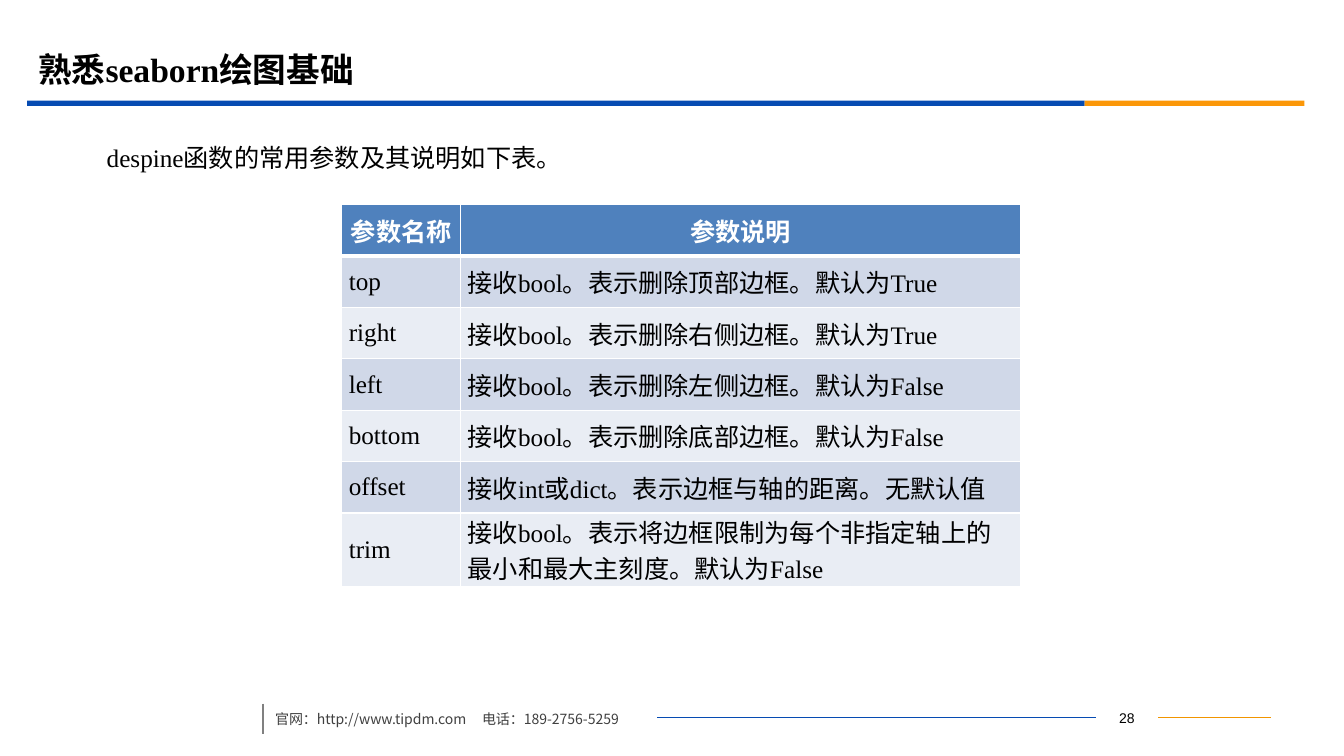
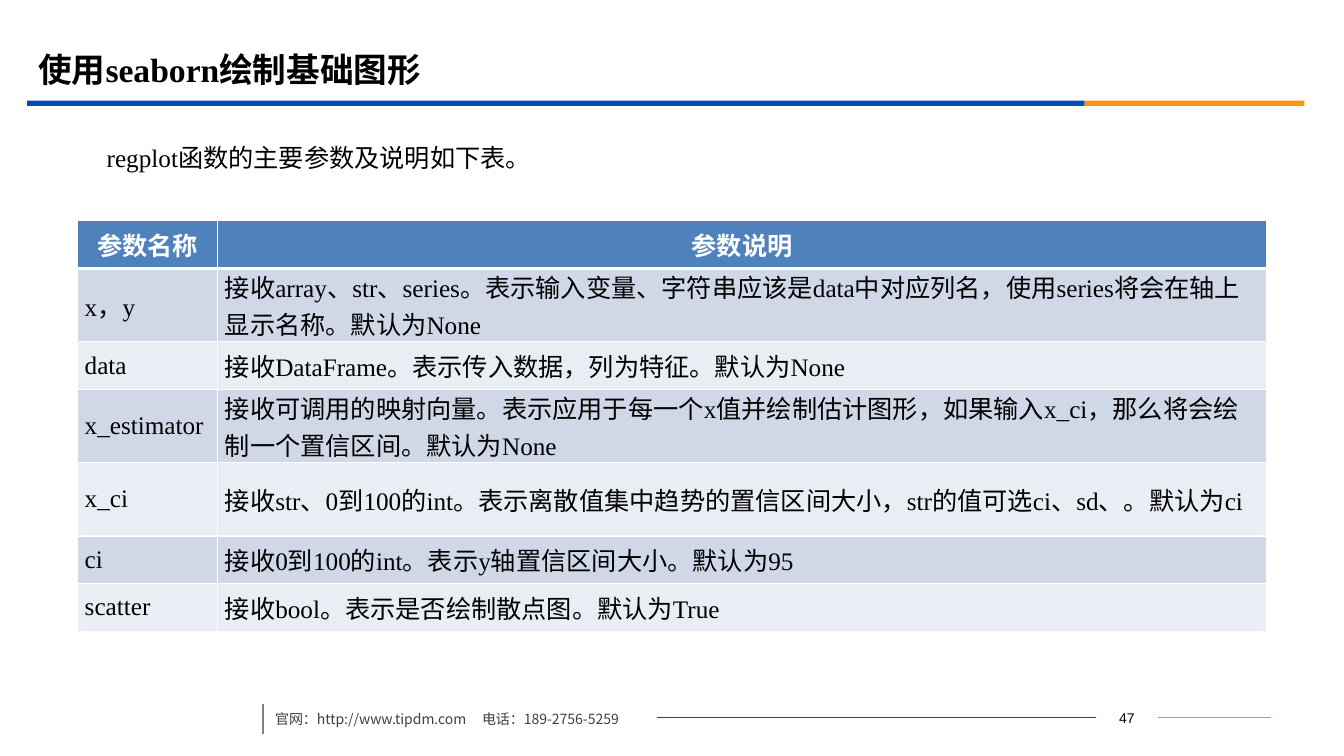
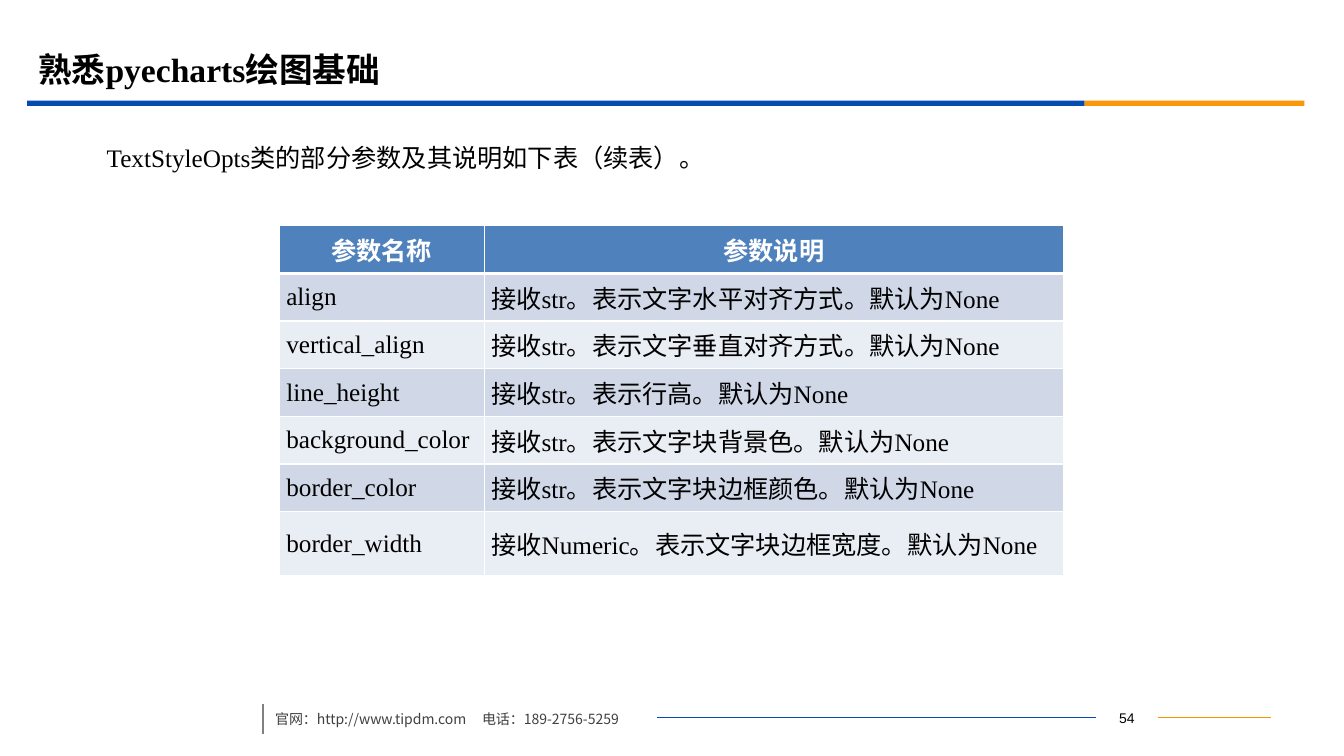
from pptx import Presentation
from pptx import util as u
from pptx.dml.color import RGBColor
from pptx.enum import shapes, text
from pptx.oxml import parse_xml
from pptx.oxml.ns import nsdecls, qn

deck = Presentation()
deck.slide_width, deck.slide_height = u.Inches(13.33), u.Inches(7.5)
col, row = deck.slide_width / 100, deck.slide_height / 100

hues = {
    "blue": "064BB2", "gold": "FB9708", "amber": "F19500", "grey": "808080",
    "dark": "404040", "black": "000000", "white": "FFFFFF",
    "head": "4F81BD", "odd": "D0D8E8", "even": "E9EDF4",
}
tint = {name: RGBColor.from_string(hue) for name, hue in hues.items()}
serif, sans = "Times New Roman", "Noto Sans CJK SC"


def area(left, top, wide, high):
    return [round(n) for n in (left * col, top * row, wide * col, high * row)]


def write(para, words, size, hue="black", face=serif, bold=False):
    run = para.add_run()
    run.text = words
    run.font.size, run.font.bold, run.font.name = u.Pt(size), bold, face
    run.font.color.rgb = tint[hue]
    east = parse_xml(f'<a:ea {nsdecls("a")} typeface="{sans}"/>')
    run.font._element.find(qn("a:latin")).addnext(east)


bands = [(2.03, 78.68, "blue"), (80.7, 16.35, "gold")]
rules = [
    (86.18, 94.93, 94.58, 94.93, "amber", 0.75),
    (48.9, 94.93, 81.53, 94.93, "blue", 0.75),
    (19.58, 93.07, 19.58, 97.07, "grey", 1.25),
]
header = ("参数名称", "参数说明")
tall = 9.7
pages = [
    {
        "page": "28",
        "title": ["熟悉", "seaborn", "绘图基础"],
        "lead": ["despine", "函数的常用参数及其说明如下表。"],
        "spot": (25.43, 27.07), "cols": (8.85, 41.65),
        "rows": [6.8] * 6 + [tall],
        "data": [
            ("top", "接收bool。表示删除顶部边框。默认为True"),
            ("right", "接收bool。表示删除右侧边框。默认为True"),
            ("left", "接收bool。表示删除左侧边框。默认为False"),
            ("bottom", "接收bool。表示删除底部边框。默认为False"),
            ("offset", "接收int或dict。表示边框与轴的距离。无默认值"),
            ("trim", "接收bool。表示将边框限制为每个非指定轴上的最小和最大主刻度。默认为False"),
        ],
    },
    {
        "page": "47",
        "title": ["使用", "seaborn", "绘制基础图形"],
        "lead": ["regplot", "函数的主要参数及说明如下表。"],
        "spot": (5.78, 29.2), "cols": (10.43, 78),
        "rows": [6.3, tall, 6.3, tall, tall, 6.3, 6.3],
        "data": [
            ("x，y", "接收array、str、series。表示输入变量、字符串应该是data中对应列名，使用series将会在轴上显示名称。默认为None"),
            ("data", "接收DataFrame。表示传入数据，列为特征。默认为None"),
            ("x_estimator", "接收可调用的映射向量。表示应用于每一个x值并绘制估计图形，如果输入x_ci，那么将会绘制一个置信区间。默认为None"),
            ("x_ci", "接收str、0到100的int。表示离散值集中趋势的置信区间大小，str的值可选ci、sd、。默认为ci"),
            ("ci", "接收0到100的int。表示y轴置信区间大小。默认为95"),
            ("scatter", "接收bool。表示是否绘制散点图。默认为True"),
        ],
    },
    {
        "page": "54",
        "title": ["熟悉", "pyecharts", "绘图基础"],
        "lead": ["TextStyleOpts", "类的部分参数及其说明如下表（续表）。"],
        "spot": (20.78, 29.87), "cols": (15.25, 43.1),
        "rows": [6.3] * 6 + [8.5],
        "data": [
            ("align", "接收str。表示文字水平对齐方式。默认为None"),
            ("vertical_align", "接收str。表示文字垂直对齐方式。默认为None"),
            ("line_height", "接收str。表示行高。默认为None"),
            ("background_color", "接收str。表示文字块背景色。默认为None"),
            ("border_color", "接收str。表示文字块边框颜色。默认为None"),
            ("border_width", "接收Numeric。表示文字块边框宽度。默认为None"),
        ],
    },
]

for page in pages:
    slide = deck.slides.add_slide(deck.slide_layouts[5])
    items = slide.shapes

    for left, wide, hue in bands:
        band = items.add_shape(shapes.MSO_SHAPE.RECTANGLE, *area(left, 13.33, wide, 0.67))
        band.shadow.inherit = False
        band.fill.solid()
        band.fill.fore_color.rgb = tint[hue]
        band.line.fill.background()

    number = items.add_textbox(*area(81.53, 93.27, 4.65, 3.32))
    number.text_frame.word_wrap = True
    number.text_frame.vertical_anchor = text.MSO_ANCHOR.MIDDLE
    para = number.text_frame.paragraphs[0]
    para.alignment = text.PP_ALIGN.CENTER
    write(para, page["page"], 10, face="Arial")

    lines = []
    for left, top, right, base, hue, thick in rules:
        line = items.add_connector(shapes.MSO_CONNECTOR.STRAIGHT, *area(left, top, right, base))
        line.line.color.rgb = tint[hue]
        line.line.width = u.Pt(thick)
        line._element.spPr.append(parse_xml(f'<a:effectLst {nsdecls("a")}/>'))
        lines.append(line)
    lines[0].begin_connect(number, 3)
    lines[1].end_connect(number, 1)

    foot = items.add_textbox(*area(19.73, 92.27, 40.2, 4.67))
    foot.text_frame.word_wrap = True
    para = foot.text_frame.paragraphs[0]
    para.line_spacing = 1.5
    tabs = f'<a:tabLst {nsdecls("a")}><a:tab pos="{round(15.4 * col)}" algn="l"/></a:tabLst>'
    para._p.get_or_add_pPr().append(parse_xml(tabs))
    write(para, "官网：http://www.tipdm.com", 10, "dark", sans)
    write(para, "\t电话：189-2756-5259", 10, "dark", sans)

    lead = items.add_textbox(*area(3.45, 16.13, 91.13, 73.73))
    lead.text_frame.word_wrap = True
    para = lead.text_frame.paragraphs[0]
    para.line_spacing = 1.5
    para._p.get_or_add_pPr().set("indent", str(round(3.75 * col)))
    for words in page["lead"]:
        write(para, words, 18)

    title = items.title
    title.left, title.top, title.width, title.height = area(2.1, 5.3, 90, 7.73)
    title.text_frame.vertical_anchor = text.MSO_ANCHOR.MIDDLE
    title.text_frame.auto_size = text.MSO_AUTO_SIZE.NONE
    para = title.text_frame.paragraphs[0]
    para.alignment = text.PP_ALIGN.LEFT
    for words in page["title"]:
        write(para, words, 24, bold=True)

    cells = [header] + page["data"]
    place = area(*page["spot"], sum(page["cols"]), sum(page["rows"]))
    grid = items.add_table(len(cells), len(header), *place).table
    for part, wide in zip(grid.columns, page["cols"]):
        part.width = round(wide * col)
    for part, high in zip(grid.rows, page["rows"]):
        part.height = round(high * row)
    for r, pair in enumerate(cells):
        for c, words in enumerate(pair):
            cell = grid.cell(r, c)
            cell.margin_left = cell.margin_right = u.Inches(0.07)
            cell.margin_top = cell.margin_bottom = 0
            cell.vertical_anchor = text.MSO_ANCHOR.MIDDLE
            cell.fill.solid()
            cell.fill.fore_color.rgb = tint["odd" if r % 2 else "even"] if r else tint["head"]
            para = cell.text_frame.paragraphs[0]
            para.alignment = text.PP_ALIGN.LEFT if r else text.PP_ALIGN.CENTER
            write(para, words, 18, "black" if r else "white", bold=r == 0)
            for at, side in enumerate("LRTB"):
                thick = 3 if (r, side) in ((0, "B"), (1, "T")) else 1
                edge = (f'<a:ln{side} {nsdecls("a")} w="{u.Pt(thick)}"><a:solidFill>'
                        f'<a:srgbClr val="{hues["white"]}"/></a:solidFill></a:ln{side}>')
                cell._tc.get_or_add_tcPr().insert(at, parse_xml(edge))

deck.save("out.pptx")
